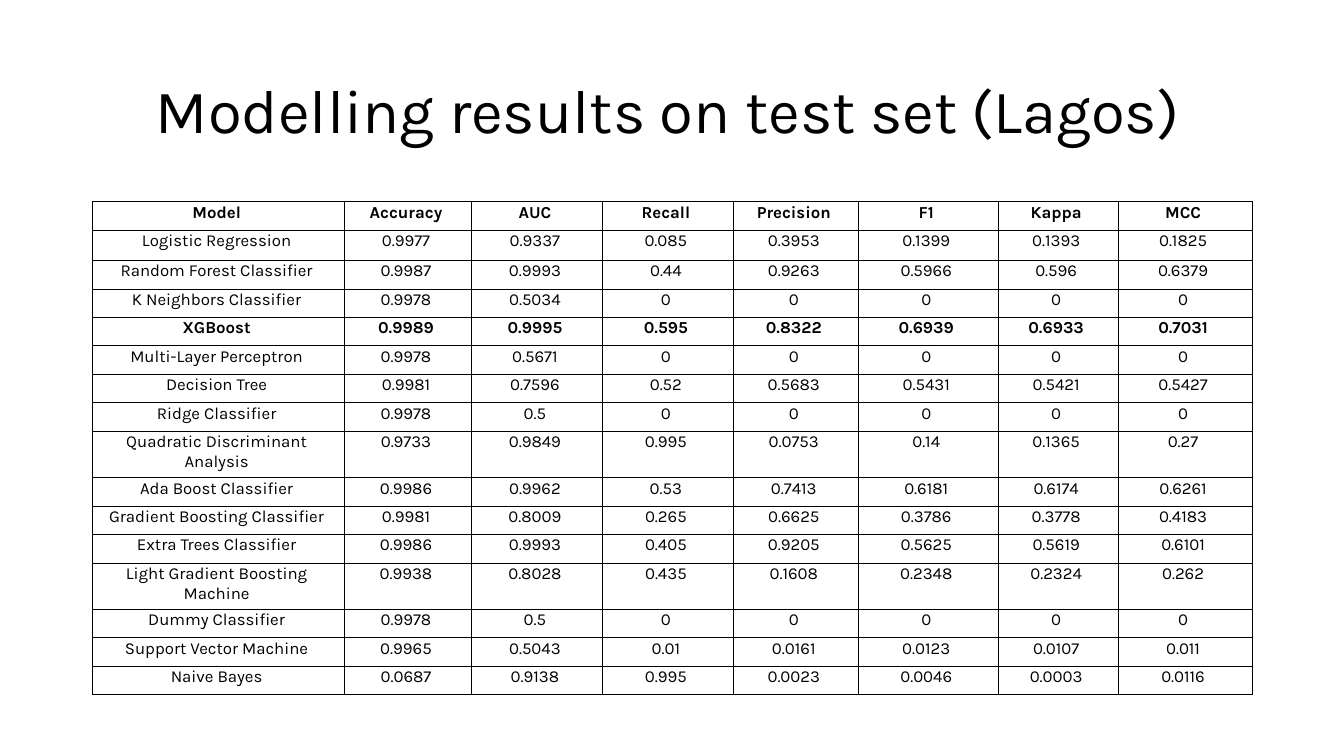
from typing import NamedTuple

from lxml import etree
from pptx import Presentation
from pptx.dml.color import RGBColor
from pptx.enum.text import MSO_ANCHOR, PP_ALIGN
from pptx.oxml.ns import qn
from pptx.util import Inches, Pt

CENTER = PP_ALIGN.CENTER
TOP, MIDDLE = MSO_ANCHOR.TOP, MSO_ANCHOR.MIDDLE
SLIDE_WIDTH, SLIDE_HEIGHT = Inches(13.33), Inches(7.5)
FONT = "Karla"
INK = "000000"
BORDER_WIDTH = Pt(0.75)


class Area(NamedTuple):
    """A place on the slide, in shares of its width and height."""
    left: float
    top: float
    width: float
    height: float

    def lengths(self) -> tuple[int, ...]:
        sides = (SLIDE_WIDTH, SLIDE_HEIGHT) * 2
        return tuple(int(share * side) for share, side in zip(self, sides))


class Result(NamedTuple):
    model: str
    scores: str
    bold: bool = False


TITLE_AREA = Area(0.28 / 13.33, 0.4 / 7.5, 12.7 / 13.33, 1.46 / 7.5)
TABLE_AREA = Area(0.92 / 13.33, 2 / 7.5, 11.5 / 13.33, 4.54 / 7.5)
COLUMN_WEIGHTS = [2.5, 1.26, 1.3, 1.3, 1.24, 1.39, 1.19, 1.33]
RESULTS = [
    Result("Model", "Accuracy AUC Recall Precision F1 Kappa MCC", bold=True),
    Result("Logistic Regression", "0.9977 0.9337 0.085 0.3953 0.1399 0.1393 0.1825"),
    Result("Random Forest Classifier", "0.9987 0.9993 0.44 0.9263 0.5966 0.596 0.6379"),
    Result("K Neighbors Classifier", "0.9978 0.5034 0 0 0 0 0"),
    Result("XGBoost", "0.9989 0.9995 0.595 0.8322 0.6939 0.6933 0.7031", bold=True),
    Result("Multi-Layer Perceptron", "0.9978 0.5671 0 0 0 0 0"),
    Result("Decision Tree", "0.9981 0.7596 0.52 0.5683 0.5431 0.5421 0.5427"),
    Result("Ridge Classifier", "0.9978 0.5 0 0 0 0 0"),
    Result("Quadratic Discriminant Analysis", "0.9733 0.9849 0.995 0.0753 0.14 0.1365 0.27"),
    Result("Ada Boost Classifier", "0.9986 0.9962 0.53 0.7413 0.6181 0.6174 0.6261"),
    Result("Gradient Boosting Classifier", "0.9981 0.8009 0.265 0.6625 0.3786 0.3778 0.4183"),
    Result("Extra Trees Classifier", "0.9986 0.9993 0.405 0.9205 0.5625 0.5619 0.6101"),
    Result("Light Gradient Boosting Machine", "0.9938 0.8028 0.435 0.1608 0.2348 0.2324 0.262"),
    Result("Dummy Classifier", "0.9978 0.5 0 0 0 0 0"),
    Result("Support Vector Machine", "0.9965 0.5043 0.01 0.0161 0.0123 0.0107 0.011"),
    Result("Naive Bayes", "0.0687 0.9138 0.995 0.0023 0.0046 0.0003 0.0116"),
]
# The logistic regression row is slightly taller than the others.
ROW_WEIGHTS = [0.3 if row == 1 else 0.28 for row in range(len(RESULTS))]


def color(hex_code: str) -> RGBColor:
    return RGBColor.from_string(hex_code)


def write(frame, text: str, size: float, bold: bool = False) -> None:
    para = frame.paragraphs[0]
    para.text = text
    para.alignment = CENTER
    para.font.name = FONT
    para.font.size = Pt(size)
    para.font.bold = bold
    para.font.color.rgb = color(INK)


def draw_borders(cell) -> None:
    properties = cell._tc.get_or_add_tcPr()
    for position, side in enumerate(("a:lnL", "a:lnR", "a:lnT", "a:lnB")):
        line = etree.Element(qn(side), w=str(BORDER_WIDTH))
        fill = etree.SubElement(line, qn("a:solidFill"))
        etree.SubElement(fill, qn("a:srgbClr"), val=INK)
        properties.insert(position, line)


def fill_cell(cell, text: str, bold: bool) -> None:
    cell.margin_left = cell.margin_top = Inches(0.01)
    cell.margin_right = cell.margin_bottom = Inches(0.05)
    cell.vertical_anchor = TOP
    cell.fill.background()
    draw_borders(cell)
    write(cell.text_frame, text, 12, bold)


def add_title(slide, text: str) -> None:
    frame = slide.shapes.add_textbox(*TITLE_AREA.lengths()).text_frame
    frame.word_wrap = True
    frame.vertical_anchor = MIDDLE
    write(frame, text, 44)
    frame.paragraphs[0].line_spacing = 0.9


def add_results(slide) -> None:
    left, top, width, height = TABLE_AREA.lengths()
    table = slide.shapes.add_table(
        len(RESULTS), len(COLUMN_WEIGHTS), left, top, width, height).table
    table.first_row = table.horz_banding = False
    for column, weight in zip(table.columns, COLUMN_WEIGHTS):
        column.width = int(width * weight / sum(COLUMN_WEIGHTS))
    for row, weight, result in zip(table.rows, ROW_WEIGHTS, RESULTS):
        row.height = int(height * weight / sum(ROW_WEIGHTS))
        for cell, text in zip(row.cells, [result.model, *result.scores.split()]):
            fill_cell(cell, text, result.bold)


def main() -> None:
    deck = Presentation()
    deck.slide_width, deck.slide_height = SLIDE_WIDTH, SLIDE_HEIGHT
    slide = deck.slides.add_slide(deck.slide_layouts[6])
    add_title(slide, "Modelling results on test set (Lagos)")
    add_results(slide)
    deck.save("out.pptx")


if __name__ == "__main__":
    main()
